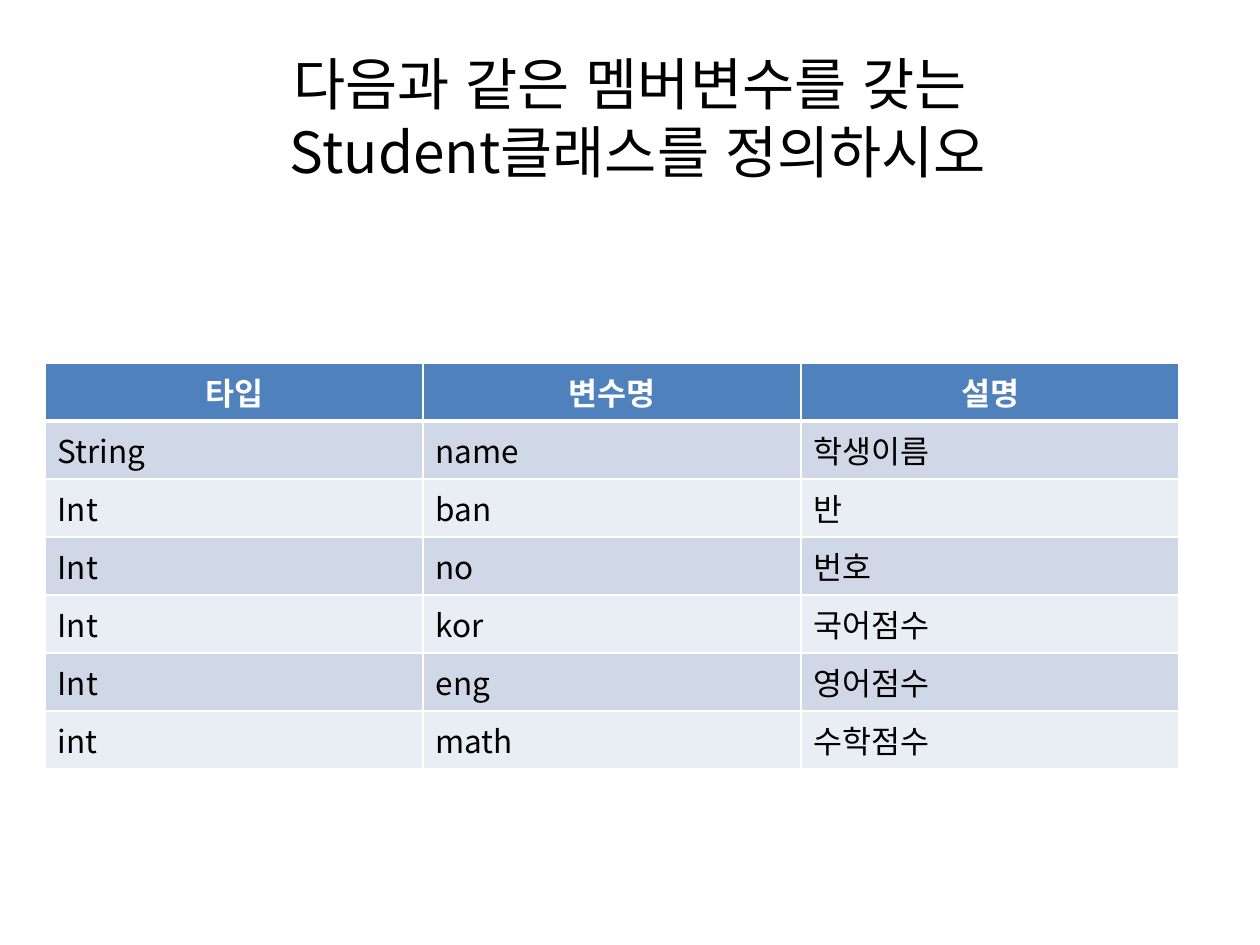
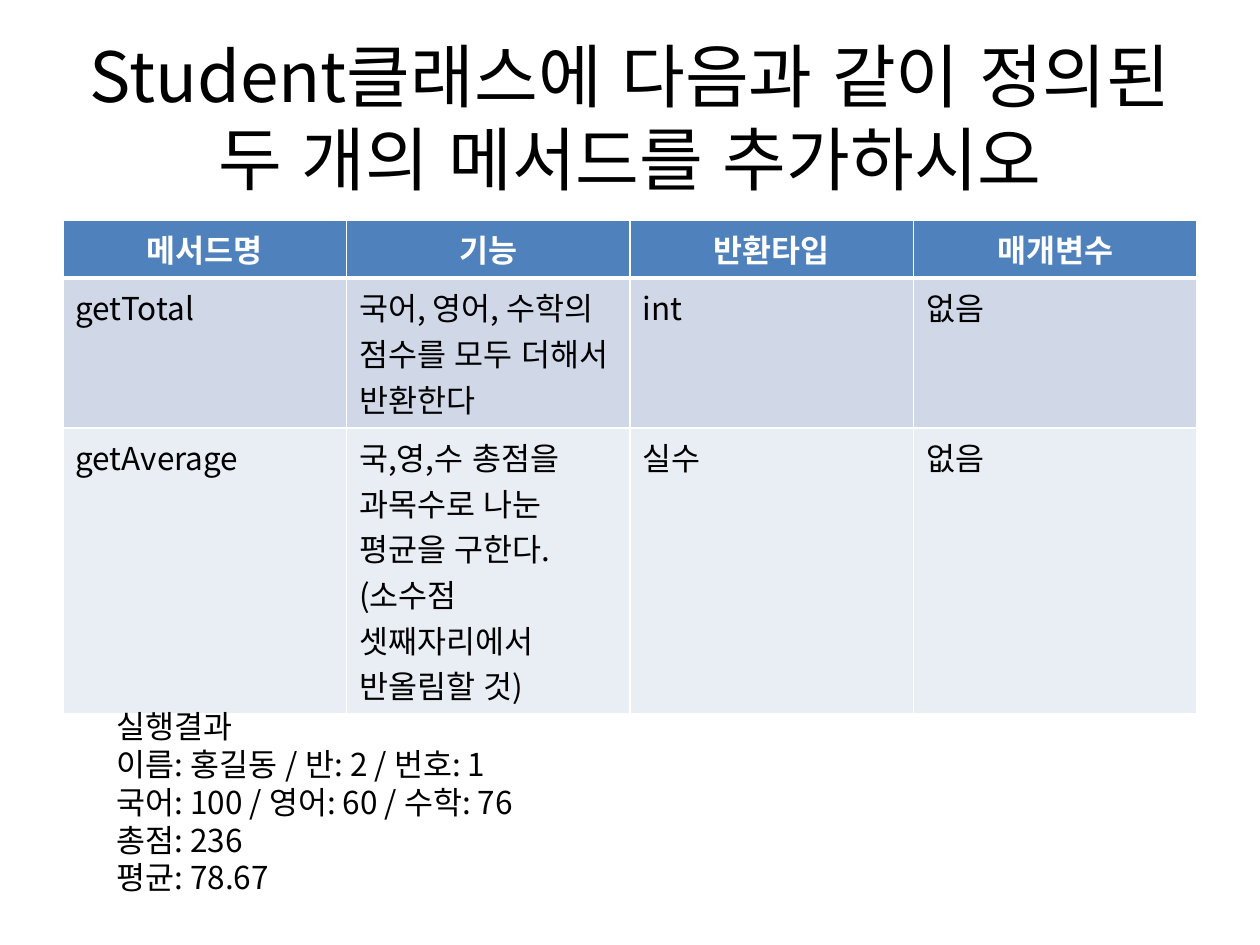
"""Build two class exercise slides, each with a title and a table."""
from lxml.etree import SubElement
from pptx import Presentation
from pptx.dml.color import RGBColor as Rgb
from pptx.enum.lang import MSO_LANGUAGE_ID as Lang
from pptx.enum.text import MSO_ANCHOR as Anchor, PP_ALIGN as Align
from pptx.oxml.ns import qn
from pptx.util import Pt

FONT = "Noto Sans CJK KR"
COLORS = {"ink": "000000", "white": "FFFFFF", "head": "4F81BD",
          "odd": "D0D8E8", "even": "E9EDF4"}
PX = 914400 / 126
TITLE = (63, 38, 1134, 157)

SLIDES = [
    {
        "title": "다음과 같은 멤버변수를 갖는\v Student클래스를 정의하시오",
        "size": 32.4,
        "at": (45, 363, 1134),
        "high": [58] * 7,
        "rows": [
            ("타입", "변수명", "설명"),
            ("String", "name", "학생이름"),
            ("Int", "ban", "반"),
            ("Int", "no", "번호"),
            ("Int", "kor", "국어점수"),
            ("Int", "eng", "영어점수"),
            ("int", "math", "수학점수"),
        ],
    },
    {
        "title": "Student클래스에 다음과 같이 정의된 두 개의 메서드를 추가하시오",
        "size": 39.6,
        "at": (63, 220, 1134),
        "high": [58, 150, 286],
        "rows": [
            ("메서드명", "기능", "반환타입", "매개변수"),
            ("getTotal", "국어, 영어, 수학의 점수를 모두 더해서 반환한다",
             "int", "없음"),
            ("getAverage", "국,영,수 총점을 과목수로 나눈 평균을 구한다."
             "(소수점 셋째자리에서 반올림할 것)", "실수", "없음"),
        ],
        "result": [
            "실행결과",
            "이름: 홍길동 / 반: 2 / 번호: 1",
            "국어: 100 / 영어: 60 / 수학: 76",
            "총점: 236",
            "평균: 78.67",
        ],
    },
]
RESULT = (104, 701, 486, 204)


def px(*nums):
    return [round(n * PX) for n in nums]


def style(frame, size=18, color="ink", bold=False, align=Align.LEFT):
    for para in frame.paragraphs:
        para.alignment = align
        for run in para.runs:
            font = run.font
            font.name, font.size, font.bold = FONT, Pt(size), bold
            font.color.rgb = Rgb.from_string(COLORS[color])
            font.language_id = Lang.KOREAN
            props = run._r.get_or_add_rPr()
            SubElement(props, qn("a:ea")).set("typeface", FONT)


def add_text(slide, at, text, anchor=Anchor.TOP, **look):
    frame = slide.shapes.add_textbox(*px(*at)).text_frame
    frame.word_wrap = True
    frame.vertical_anchor = anchor
    frame.text = text
    style(frame, **look)


def add_edges(cell, top, low):
    props = cell._tc.get_or_add_tcPr()
    for side, wide in (("L", 1), ("R", 1), ("T", top), ("B", low)):
        line = SubElement(props, qn("a:ln" + side), w=str(Pt(wide)))
        fill = SubElement(line, qn("a:solidFill"))
        SubElement(fill, qn("a:srgbClr")).set("val", COLORS["white"])


def add_grid(slide, at, rows, high):
    box = px(*at, sum(high))
    grid = slide.shapes.add_table(len(rows), len(rows[0]), *box).table
    for r, row in enumerate(rows):
        head = r == 0
        fill = "head" if head else "odd" if r % 2 else "even"
        grid.rows[r].height = px(high[r])[0]
        for c, text in enumerate(row):
            cell = grid.cell(r, c)
            cell.text = text
            add_edges(cell, 3 if r == 1 else 1, 3 if head else 1)
            cell.fill.solid()
            cell.fill.fore_color.rgb = Rgb.from_string(COLORS[fill])
            style(cell.text_frame, color="white" if head else "ink",
                  bold=head, align=Align.CENTER if head else Align.LEFT)


def main():
    deck = Presentation()
    deck.slide_width, deck.slide_height = px(1260, 945)
    for page in SLIDES:
        slide = deck.slides.add_slide(deck.slide_layouts[6])
        add_text(slide, TITLE, page["title"], Anchor.MIDDLE,
                 size=page["size"], align=Align.CENTER)
        add_grid(slide, page["at"], page["rows"], page["high"])
        if "result" in page:
            add_text(slide, RESULT, "\n".join(page["result"]))
    deck.save("out.pptx")


if __name__ == "__main__":
    main()
